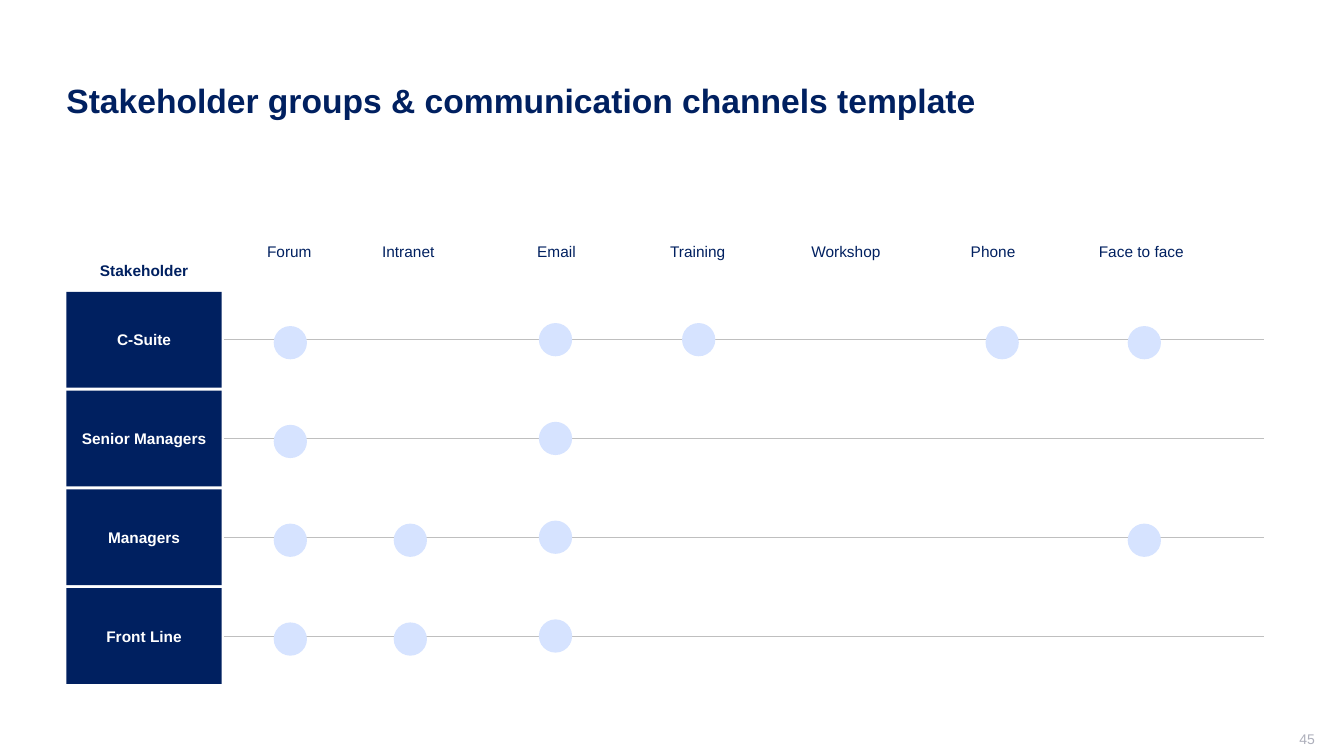
from dataclasses import dataclass
from typing import NamedTuple

from lxml import etree
from pptx import Presentation
from pptx.dml.color import RGBColor
from pptx.enum.shapes import MSO_CONNECTOR, MSO_SHAPE
from pptx.enum.text import MSO_ANCHOR, PP_ALIGN
from pptx.oxml.ns import qn
from pptx.util import Inches, Pt

RECT, OVAL = MSO_SHAPE.RECTANGLE, MSO_SHAPE.OVAL
STRAIGHT = MSO_CONNECTOR.STRAIGHT
LEFT, CENTER, RIGHT = PP_ALIGN.LEFT, PP_ALIGN.CENTER, PP_ALIGN.RIGHT
TOP, MIDDLE = MSO_ANCHOR.TOP, MSO_ANCHOR.MIDDLE


@dataclass(frozen=True)
class Theme:
    """Colours and type sizes of the slide."""
    font: str = "Arial"
    navy: str = "002060"
    dot: str = "D6E3FF"
    rule: str = "BFBFBF"
    white: str = "FFFFFF"
    muted: str = "ADAFBB"
    title_size: int = 24
    body_size: int = 11
    number_size: int = 10
    rule_width: float = 0.5


class Box(NamedTuple):
    """A rectangle in inches."""
    left: float
    top: float
    width: float
    height: float


class Channel(NamedTuple):
    """A channel, its offsets from the matrix edge and the groups it reaches."""
    name: str
    label_x: float
    dot_x: float
    dot_drop: float
    groups: tuple


THEME = Theme()
SLIDE_WIDTH, SLIDE_HEIGHT = 13.33, 7.5
GROUPS = ("C-Suite", "Senior Managers", "Managers", "Front Line")
CHANNELS = (
    Channel("Forum", 2.21, 2.22, 0.03, GROUPS),
    Channel("Intranet", 3.39, 3.41, 0.03, ("Managers", "Front Line")),
    Channel("Email", 4.86, 4.85, 0, GROUPS),
    Channel("Training", 6.26, 6.27, 0, ("C-Suite",)),
    Channel("Workshop", 7.73, 7.73, 0, ()),
    Channel("Phone", 9.19, 9.28, 0.03, ("C-Suite",)),
    Channel("Face to face", 10.66, 10.69, 0.03, ("C-Suite", "Managers")),
)


def write(shape, text, *, size=THEME.body_size, color=THEME.navy, bold=False,
          align=CENTER, anchor=MIDDLE, insets=(0.1, 0.05, 0.1, 0.05), wrap=True):
    """Put formatted text in a shape."""
    frame = shape.text_frame
    frame.word_wrap = wrap
    frame.vertical_anchor = anchor
    (frame.margin_left, frame.margin_top,
     frame.margin_right, frame.margin_bottom) = map(Inches, insets)
    paragraph = frame.paragraphs[0]
    paragraph.text = text
    paragraph.alignment = align
    font = paragraph.font
    font.name, font.size, font.bold = THEME.font, Pt(size), bold
    font.color.rgb = RGBColor.from_string(color)


def add_text(slide, box, text, **style):
    """Add a text box."""
    write(slide.shapes.add_textbox(*map(Inches, box)), text, **style)


def add_filled(slide, preset, box, color):
    """Add a flat shape without outline."""
    shape = slide.shapes.add_shape(preset, *map(Inches, box))
    shape.shadow.inherit = False
    shape.fill.solid()
    shape.fill.fore_color.rgb = RGBColor.from_string(color)
    shape.line.fill.background()
    return shape


def add_rule(slide, left, right, y):
    """Add a thin horizontal line."""
    rule = slide.shapes.add_connector(STRAIGHT, *map(Inches, (left, y, right, y)))
    rule.line.color.rgb = RGBColor.from_string(THEME.rule)
    rule.line.width = Pt(THEME.rule_width)
    etree.SubElement(rule.element.spPr, qn("a:effectLst"))


def add_groups(slide, box, centers):
    """Draw the stakeholder column and the line of each group."""
    column_width, row_height, rule_gap = 1.54, 0.95, 0.02
    add_text(slide, Box(box.left + 0.33, box.top + 0.24, 0.88, 0.19),
             "Stakeholder", bold=True, insets=(0, 0, 0, 0), wrap=False)
    for group, y in centers.items():
        cell = Box(box.left, y - row_height / 2, column_width, row_height)
        write(add_filled(slide, RECT, cell, THEME.navy), group,
              color=THEME.white, bold=True)
        add_rule(slide, box.left + column_width + rule_gap, box.left + box.width, y)


def add_channels(slide, box, centers):
    """Draw the channel labels and a dot for each group reached."""
    label_width, label_height, diameter = 1.34, 0.29, 0.33
    for channel in CHANNELS:
        label_left = box.left + channel.label_x - label_width / 2
        add_text(slide, Box(label_left, box.top, label_width, label_height),
                 channel.name, anchor=TOP)
        for group in channel.groups:
            dot = Box(box.left + channel.dot_x - diameter / 2,
                      centers[group] + channel.dot_drop - diameter / 2,
                      diameter, diameter)
            add_filled(slide, OVAL, dot, THEME.dot)


def add_matrix(slide, box):
    """Draw the matrix of stakeholder groups and channels."""
    header_height = 0.53
    pitch = (box.height - header_height) / len(GROUPS)
    centers = {group: box.top + header_height + pitch * (row + 0.5)
               for row, group in enumerate(GROUPS)}
    add_groups(slide, box, centers)
    add_channels(slide, box, centers)


def main():
    """Build and save the slide."""
    deck = Presentation()
    deck.slide_width, deck.slide_height = Inches(SLIDE_WIDTH), Inches(SLIDE_HEIGHT)
    slide = deck.slides.add_slide(deck.slide_layouts[6])
    add_text(slide, Box(0.56, 0.4, 12.11, 1.19),
             "Stakeholder groups & communication channels template",
             size=THEME.title_size, bold=True, align=LEFT)
    add_matrix(slide, Box(0.66, 2.35, 11.88, 4.45))
    add_text(slide, Box(10.04, 7.25, 3, 0.21), "45", size=THEME.number_size,
             color=THEME.muted, align=RIGHT, insets=(0.1, 0, 0, 0.05))
    deck.save("out.pptx")


if __name__ == "__main__":
    main()
